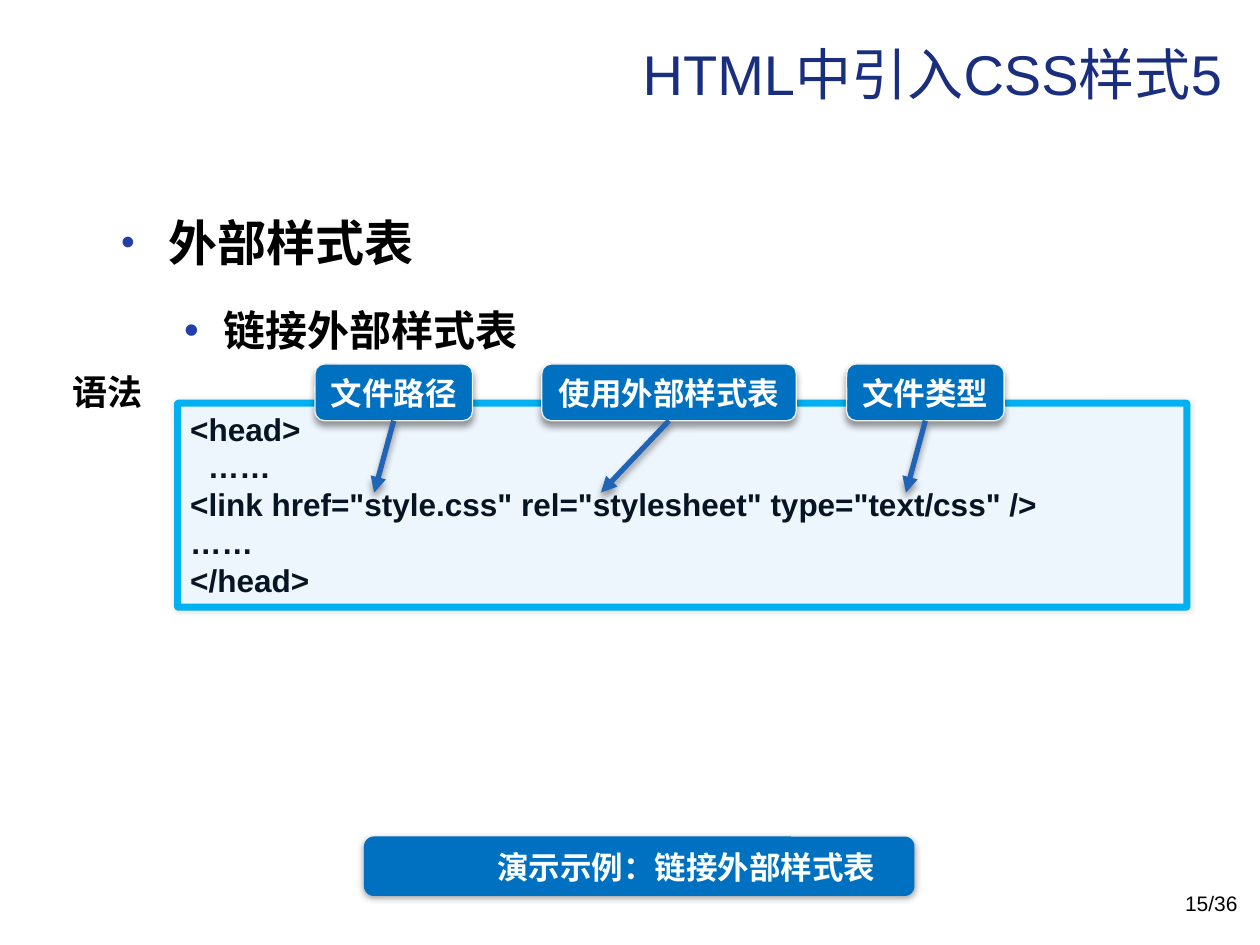
from lxml.etree import SubElement
from pptx import Presentation
from pptx.dml.color import RGBColor
from pptx.enum.shapes import MSO_CONNECTOR, MSO_SHAPE
from pptx.enum.text import MSO_ANCHOR as Anchor, MSO_AUTO_SIZE, PP_ALIGN as Align
from pptx.oxml.ns import qn
from pptx.util import Pt

COLORS = {
    "title": "1A2E7F", "bullet": "233DA9", "text": "000000", "code": "071424",
    "panel": "EDF5FD", "frame": "00B0F0", "accent": "0070C0", "edge": "F2F2F2",
    "arrow": "2163B4", "white": "FFFFFF", "banner_text": "FBFFFE", "soft": "262626",
}
LATIN, CJK = "Arial", "Noto Sans CJK SC"
CALLOUT_TOP, CALLOUT_HEIGHT, ARROW_END = 208, 32.4, 281.5


def rgb(name):
    return RGBColor.from_string(COLORS[name])


def cast_shadow(effects, color="text", alpha=40, blur=4, distance=3, angle=90):
    outer = SubElement(effects, qn("a:outerShdw"), blurRad=str(Pt(blur)),
                       dist=str(Pt(distance)), dir=str(angle * 60000),
                       algn="ctr", rotWithShape="0")
    tint = SubElement(outer, qn("a:srgbClr"), val=COLORS[color])
    SubElement(tint, qn("a:alpha"), val=str(alpha * 1000))


class SlideBuilder:
    def __init__(self, slide):
        self.slide = slide

    def add_run(self, paragraph, text, size, color, bold=True, latin=LATIN, ea=CJK):
        run = paragraph.add_run()
        run.text = text
        font = run.font
        font.size, font.bold, font.name = Pt(size), bold, latin
        font.color.rgb = rgb(color)
        if ea:
            SubElement(run._r.rPr, qn("a:ea"), typeface=ea)
        return run

    def place(self, shape, box):
        shape.left, shape.top, shape.width, shape.height = map(Pt, box)

    def title(self, box, text):
        heading = self.slide.shapes.title
        self.place(heading, box)
        frame = heading.text_frame
        frame.auto_size = MSO_AUTO_SIZE.NONE
        frame.vertical_anchor = Anchor.MIDDLE
        frame.paragraphs[0].alignment = Align.RIGHT
        self.add_run(frame.paragraphs[0], text, 32, "title", bold=False)

    def bullets(self, box, items):
        body = self.slide.placeholders[1]
        self.place(body, box)
        frame = body.text_frame
        frame.auto_size = MSO_AUTO_SIZE.NONE
        for index, (text, size, margin, hang, scale) in enumerate(items):
            paragraph = frame.add_paragraph() if index else frame.paragraphs[0]
            paragraph.level = index
            paragraph.line_spacing = 1.5
            paragraph.space_before = Pt(size * 0.2)
            props = paragraph._p.get_or_add_pPr()
            props.set("marL", str(Pt(margin)))
            props.set("indent", str(Pt(-hang)))
            tint = SubElement(props, qn("a:buClr"))
            SubElement(tint, qn("a:srgbClr"), val=COLORS["bullet"])
            SubElement(props, qn("a:buSzPct"), val=str(scale * 1000))
            SubElement(props, qn("a:buFont"), typeface=LATIN)
            SubElement(props, qn("a:buChar"), char="•")
            self.add_run(paragraph, text, size, "text")

    def panel(self, kind, box, fill, line=None, width=0, adjust=(), **shadow):
        shape = self.slide.shapes.add_shape(kind, *map(Pt, box))
        for index, value in enumerate(adjust):
            shape.adjustments[index] = value
        shape.fill.solid()
        shape.fill.fore_color.rgb = rgb(fill)
        if line:
            shape.line.color.rgb = rgb(line)
            shape.line.width = Pt(width)
        else:
            shape.line.fill.background()
        shape.shadow.inherit = False
        cast_shadow(shape._element.spPr.find(qn("a:effectLst")), **shadow)
        return shape

    def code(self, box, lines):
        shape = self.panel(MSO_SHAPE.ROUNDED_RECTANGLE, box, "panel", "frame", 4,
                           (0.004,), alpha=10, blur=3, distance=0, angle=0)
        frame = shape.text_frame
        frame.vertical_anchor = Anchor.TOP
        for index, (text, indent) in enumerate(lines):
            paragraph = frame.add_paragraph() if index else frame.paragraphs[0]
            paragraph.alignment = Align.LEFT
            paragraph._p.get_or_add_pPr().set("marL", str(Pt(indent)))
            self.add_run(paragraph, text, 18, "code", ea=None)

    def callout(self, left, width, text, target):
        shape = self.panel(MSO_SHAPE.ROUNDED_RECTANGULAR_CALLOUT,
                           (left, CALLOUT_TOP, width, CALLOUT_HEIGHT),
                           "accent", "edge", 0.75, (-0.501, -0.005, 0.167))
        frame = shape.text_frame
        frame.word_wrap = False
        frame.vertical_anchor = Anchor.BOTTOM
        frame.paragraphs[0].alignment = Align.CENTER
        self.add_run(frame.paragraphs[0], text, 18, "white")
        self.arrow(left + width / 2, CALLOUT_TOP + CALLOUT_HEIGHT, target, ARROW_END)

    def arrow(self, *ends):
        line = self.slide.shapes.add_connector(MSO_CONNECTOR.STRAIGHT, *map(Pt, ends))
        line.line.color.rgb = rgb("arrow")
        line.line.width = Pt(3)
        props = line._element.spPr
        SubElement(props.find(qn("a:ln")), qn("a:tailEnd"), type="triangle")
        cast_shadow(SubElement(props, qn("a:effectLst")))

    def label(self, box, text, size, color, align=Align.LEFT, wrap=False,
              anchor=Anchor.TOP, **style):
        frame = self.slide.shapes.add_textbox(*map(Pt, box)).text_frame
        frame.word_wrap = wrap
        frame.vertical_anchor = anchor
        frame.paragraphs[0].alignment = align
        return self.add_run(frame.paragraphs[0], text, size, color, **style)

    def glow_text(self, run):
        effects = SubElement(run._r.rPr, qn("a:effectLst"))
        run._r.rPr.find(qn("a:solidFill")).addnext(effects)
        cast_shadow(effects)


def main():
    deck = Presentation()
    deck.slide_width, deck.slide_height = Pt(720), Pt(540)
    page = SlideBuilder(deck.slides.add_slide(deck.slide_layouts[1]))

    page.title((57.6, 6.5, 648, 70.5), "HTML中引入CSS样式5")
    page.bullets((62, 100.8, 602, 102.2), [
        ("外部样式表", 28, 27, 27, 80),
        ("链接外部样式表", 24, 58.5, 22.5, 100),
    ])
    page.code((101.5, 230.4, 576.7, 116.6), [
        ("<head>", 0),
        ("……", 10),
        ('<link href="style.css" rel="stylesheet" type="text/css" />', 0),
        ("……", 0),
        ("</head>", 0),
    ])
    for left, width, text, target in [
        (180, 90, "文件路径", 213.8),
        (309.6, 145.4, "使用外部样式表", 343.4),
        (483.8, 90, "文件类型", 517.7),
    ]:
        page.callout(left, width, text, target)

    syntax = page.label((34.6, 208, 55.4, 31.7), "语法", 20, "text",
                        anchor=Anchor.MIDDLE, latin=CJK)
    page.glow_text(syntax)

    page.panel(MSO_SHAPE.FLOWCHART_ALTERNATE_PROCESS, (208, 478, 314.6, 34),
               "accent", color="soft", alpha=43, distance=1)
    page.label((275.8, 481, 232.6, 28.8), "演示示例：链接外部样式表", 18,
               "banner_text", Align.CENTER)
    page.label((546.5, 505.4, 167.8, 28.8), "15/36", 12, "text", Align.RIGHT,
               wrap=True, bold=False)
    deck.save("out.pptx")


if __name__ == "__main__":
    main()
